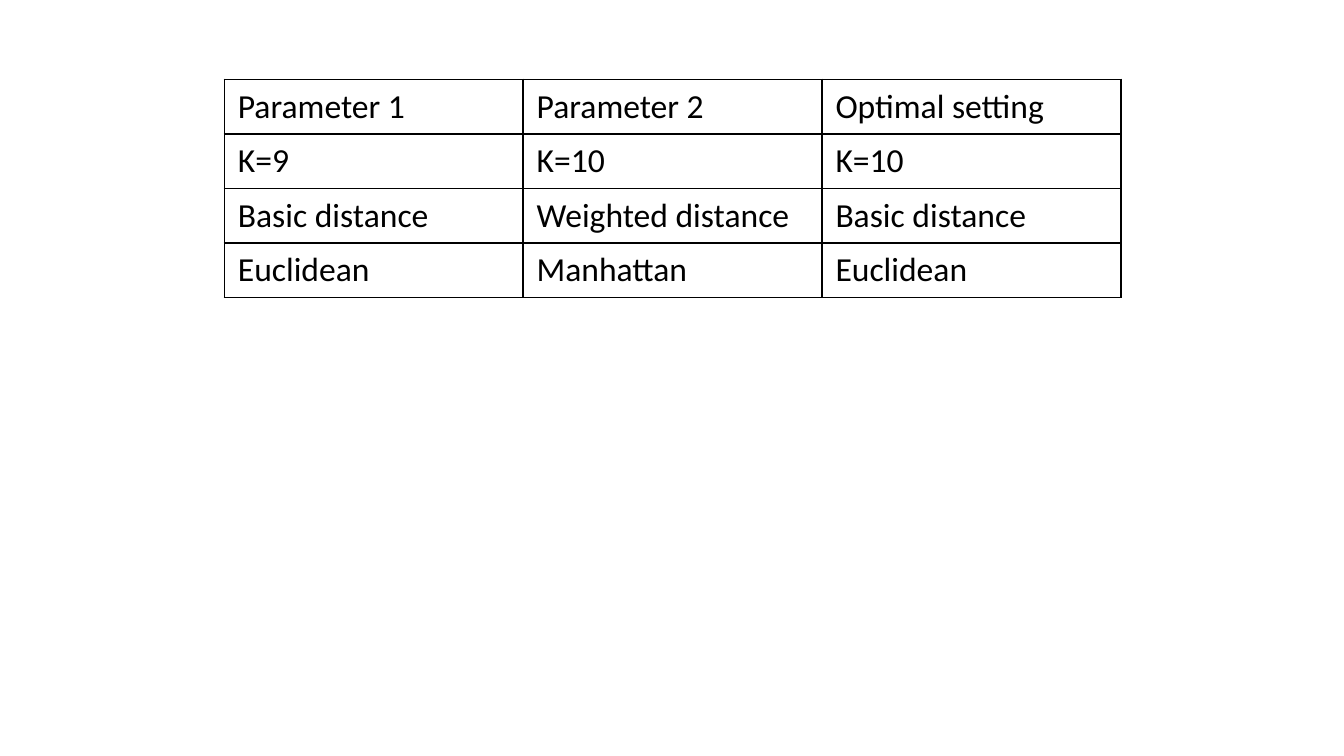
from lxml.etree import SubElement
from pptx import Presentation
from pptx.dml.color import RGBColor
from pptx.oxml.ns import qn
from pptx.util import Inches, Pt

BLACK = RGBColor(0x00, 0x00, 0x00)
FONT = "Calibri"
SETTINGS = [
    ("Parameter 1 ", "Parameter 2", "Optimal setting"),
    ("K=9", "K=10", "K=10"),
    ("Basic distance", "Weighted distance", "Basic distance"),
    ("Euclidean", "Manhattan", "Euclidean"),
]


def add_borders(cell):
    """Draw a thin black line on all four sides of a cell."""
    properties = cell._tc.get_or_add_tcPr()
    for index, side in enumerate(("a:lnL", "a:lnR", "a:lnT", "a:lnB")):
        line = properties.makeelement(qn(side), {"w": str(Pt(1))})
        fill = SubElement(line, qn("a:solidFill"))
        SubElement(fill, qn("a:srgbClr"), val=str(BLACK))
        properties.insert(index, line)


def fill_cell(cell, text):
    cell.text = text
    cell.fill.background()
    font = cell.text_frame.paragraphs[0].font
    font.name = FONT
    font.size = Pt(18)
    font.bold = False
    font.color.rgb = BLACK
    add_borders(cell)


def add_settings_table(slide, left, top, width, height, rows):
    # Columns and rows share the table's size equally
    frame = slide.shapes.add_table(
        len(rows), len(rows[0]),
        Inches(left), Inches(top), Inches(width), Inches(height))
    table = frame.table
    table.first_row = False
    table.horz_banding = False
    for row, texts in zip(table.rows, rows):
        for cell, text in zip(row.cells, texts):
            fill_cell(cell, text)


def main():
    # Widescreen deck, 16 by 9
    deck = Presentation()
    deck.slide_width = Inches(10)
    deck.slide_height = Inches(10 * 9 / 16)

    # Blank page with the table of settings
    page = deck.slides.add_slide(deck.slide_layouts[6])
    add_settings_table(page, 1.67, 0.59, 6.67, 1.62, SETTINGS)

    deck.save("out.pptx")


main()
